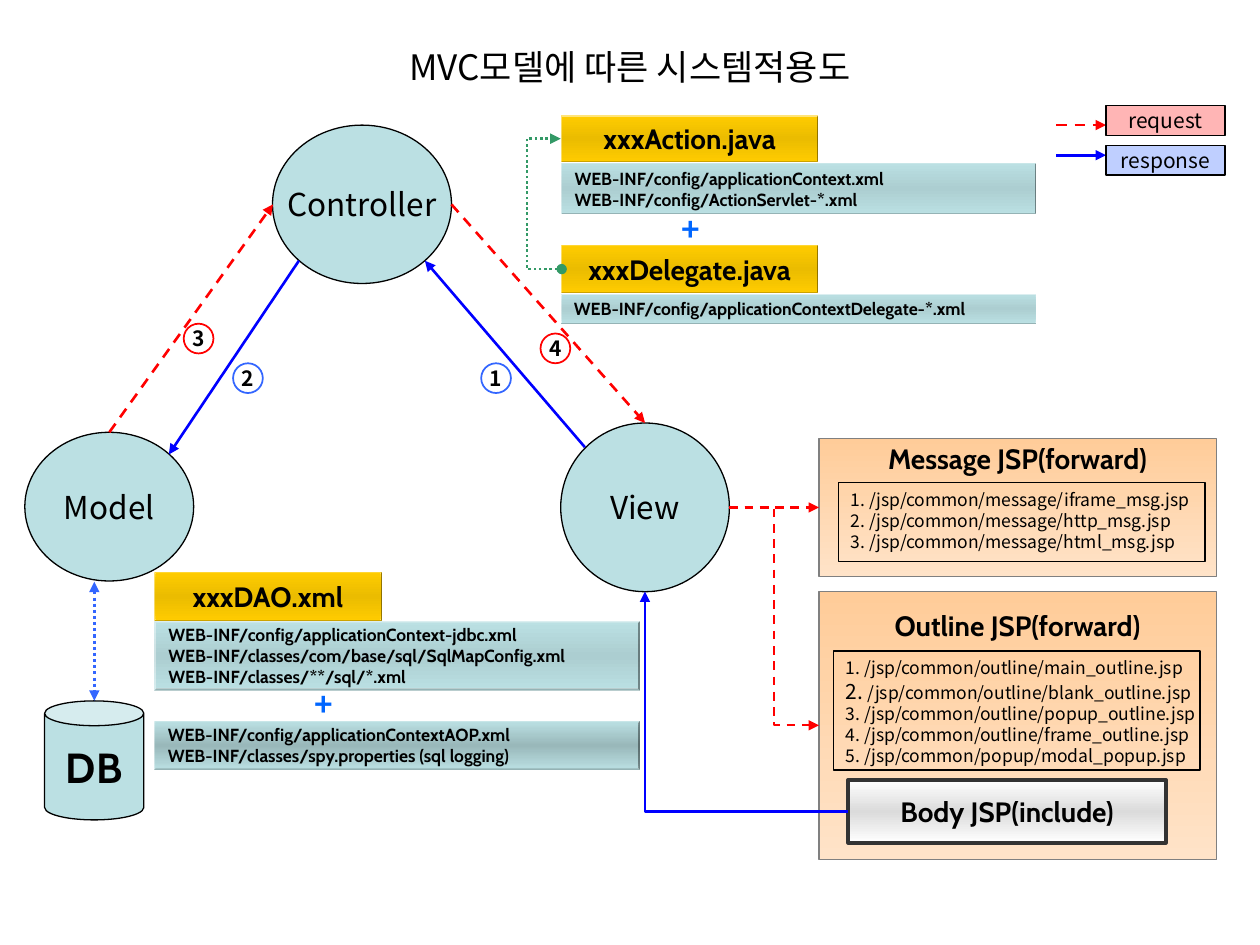
from dataclasses import dataclass
from typing import Optional, Union

from lxml import etree
from pptx import Presentation
from pptx.dml.color import RGBColor
from pptx.enum.dml import MSO_LINE
from pptx.enum.shapes import MSO_CONNECTOR, MSO_SHAPE
from pptx.enum.text import MSO_ANCHOR, PP_ALIGN
from pptx.oxml.ns import qn
from pptx.util import Pt

RECT, OVAL, BEVEL, CAN = (MSO_SHAPE.RECTANGLE, MSO_SHAPE.OVAL,
                          MSO_SHAPE.BEVEL, MSO_SHAPE.CAN)
STRAIGHT, ELBOW = MSO_CONNECTOR.STRAIGHT, MSO_CONNECTOR.ELBOW
DASH, DOT = MSO_LINE.DASH, MSO_LINE.ROUND_DOT
LEFT, CENTER = PP_ALIGN.LEFT, PP_ALIGN.CENTER
TOP, MIDDLE = MSO_ANCHOR.TOP, MSO_ANCHOR.MIDDLE
LEFT_SIDE = 1

NOTO, CABIN = "Noto Sans CJK KR", "Cabin"
COLORS = {
    "black": "000000", "teal": "BBE0E3", "teal_mid": "ACCED1",
    "teal_dark": "99B8BA", "gold": "FFCC00", "gold_mid": "EBBC00",
    "peach": "FFCC99", "peach_light": "FFE3C8", "white": "FFFFFF",
    "silver": "DBDBDB", "gray": "808080", "charcoal": "333333",
    "red": "FF0000", "blue": "0000FF", "sky": "3366FF", "plus": "0066FF",
    "green": "339966",
}
GOLD = ("gold", "gold_mid", "gold")
TEAL = ("teal", "teal_mid", "teal")
TEAL_DARK = ("teal", "teal_dark", "teal")
PEACH = ("peach", "peach_light")
SILVER = ("white", "silver", "white")

Line = Union[str, list[tuple[str, float]]]


@dataclass
class Box:
    x: float
    y: float
    w: float
    h: float
    kind: int = RECT
    fill: Union[None, str, tuple[str, ...]] = None
    alpha: Optional[int] = None
    line: Optional[str] = "black"
    weight: float = 0.75


@dataclass
class Arrow:
    x1: float
    y1: float
    x2: float
    y2: float
    color: str
    weight: float = 1.5
    dash: Optional[int] = None
    head: Optional[str] = None
    elbow_x: Optional[float] = None  # x of the vertical run


def rgb(name: str) -> RGBColor:
    return RGBColor.from_string(COLORS[name])


def write(s, *lines: Line, size: float = 12, font: str = NOTO, bold: bool = False,
          color: str = "black", align=CENTER, anchor=MIDDLE, top: float = 3.6,
          exact: bool = False) -> None:
    """Fill a shape with one paragraph per line; exact fixes the pitch at 1.2."""
    tf = s.text_frame
    tf.word_wrap = False
    tf.vertical_anchor = anchor
    tf.margin_top = Pt(top)
    for i, line in enumerate(lines):
        p = tf.add_paragraph() if i else tf.paragraphs[0]
        p.alignment = align
        runs = [(line, size)] if isinstance(line, str) else line
        if exact:
            p.line_spacing = Pt(1.2 * max(points for _, points in runs))
        for text, points in runs:
            r = p.add_run()
            r.text = text
            r.font.size, r.font.bold = Pt(points), bold
            r.font.color.rgb = rgb(color)
            r.font.name = font
            etree.SubElement(r.font._element, qn("a:ea"), typeface=font)


def paint_gradient(s, names: tuple[str, ...]) -> None:
    """Apply evenly spaced stops from top to bottom."""
    s.fill.gradient()
    s.fill.gradient_angle = 270
    stops = s._element.spPr.find(".//" + qn("a:gsLst"))
    stops.clear()
    for i, name in enumerate(names):
        gs = etree.SubElement(stops, qn("a:gs"),
                              pos=str(100000 * i // (len(names) - 1)))
        etree.SubElement(gs, qn("a:srgbClr"), val=COLORS[name])


def draw_box(slide, b: Box):
    s = slide.shapes.add_shape(b.kind, Pt(b.x), Pt(b.y), Pt(b.w), Pt(b.h))
    s.shadow.inherit = False
    if b.kind == BEVEL:
        s.adjustments[0] = 0.03
    if b.fill is None:
        s.fill.background()
    elif isinstance(b.fill, tuple):
        paint_gradient(s, b.fill)
    else:
        s.fill.solid()
        s.fill.fore_color.rgb = rgb(b.fill)
        if b.alpha is not None:
            clr = s._element.spPr.find(".//" + qn("a:srgbClr"))
            etree.SubElement(clr, qn("a:alpha"), val=str(b.alpha * 1000))
    if b.line:
        s.line.color.rgb = rgb(b.line)
        s.line.width = Pt(b.weight)
    else:
        s.line.fill.background()
    return s


def draw_arrow(slide, a: Arrow, start=None, end=None) -> None:
    """Draw an arrow; start and end are boxes to join at their left side."""
    kind = STRAIGHT if a.elbow_x is None else ELBOW
    s = slide.shapes.add_connector(kind, Pt(a.x1), Pt(a.y1), Pt(a.x2), Pt(a.y2))
    if start is not None:
        s.begin_connect(start, LEFT_SIDE)
    if end is not None:
        s.end_connect(end, LEFT_SIDE)
    s.line.color.rgb = rgb(a.color)
    s.line.width = Pt(a.weight)
    if a.dash:
        s.line.dash_style = a.dash
    spPr = s._element.spPr
    ln = spPr.find(qn("a:ln"))
    if a.head:
        etree.SubElement(ln, qn("a:headEnd"), type=a.head)
    etree.SubElement(ln, qn("a:tailEnd"), type="triangle")
    etree.SubElement(spPr, qn("a:effectLst"))
    geom = spPr.find(qn("a:prstGeom"))
    if a.elbow_x == a.x2:
        geom.set("prst", "bentConnector2")
    elif a.elbow_x is not None:
        share = round(100000 * (a.elbow_x - a.x1) / (a.x2 - a.x1))
        guides = geom.find(qn("a:avLst"))
        etree.SubElement(guides, qn("a:gd"), name="adj1", fmla=f"val {share}")


def add_text(slide, x: float, y: float, w: float, h: float, text: str, **style) -> None:
    write(slide.shapes.add_textbox(Pt(x), Pt(y), Pt(w), Pt(h)), text, **style)


def main() -> None:
    prs = Presentation()
    prs.slide_width, prs.slide_height = Pt(720), Pt(540)
    slide = prs.slides.add_slide(prs.slide_layouts[6])
    add_text(slide, 36, 21.6, 648, 33, "MVC모델에 따른 시스템적용도", size=20)

    for name, x, y, w, h in (("Controller", 155.7, 71.5, 102.3, 90.5),
                             ("Model", 14.2, 247, 96.5, 85),
                             ("View", 320.4, 241.7, 96.4, 96.4)):
        write(draw_box(slide, Box(x, y, w, h, OVAL, "teal")), name, size=18)

    for a in (Arrow(334.2, 255.5, 242.8, 149, "blue"),
              Arrow(62.5, 247, 156, 116.8, "red", dash=DASH),
              Arrow(170.8, 149, 96.5, 259.7, "blue"),
              Arrow(258, 116.8, 368.6, 241.7, "red", dash=DASH),
              Arrow(603.5, 88.7, 632, 88.7, "blue"),
              Arrow(603.5, 71.5, 632, 71.5, "red", dash=DASH)):
        draw_arrow(slide, a)

    outline = draw_box(slide, Box(468, 338, 227, 153, fill=PEACH, line="gray"))
    message = draw_box(slide, Box(468, 250.5, 227, 79, fill=PEACH, line="gray"))
    body = draw_box(slide, Box(484.7, 445.7, 181.6, 36, fill=SILVER,
                               line="charcoal", weight=2))
    heading = dict(size=16, font=CABIN, bold=True)
    write(outline, "Outline JSP(forward)", anchor=TOP, top=10, **heading)
    write(message, "Message JSP(forward)", anchor=TOP, top=2, **heading)
    write(body, "Body JSP(include)", **heading)

    listing = dict(size=10, align=LEFT, anchor=TOP, exact=True)
    write(draw_box(slide, Box(476.2, 372, 209.6, 68)),
          "1. /jsp/common/outline/main_outline.jsp",
          [("2. ", 12), ("/jsp/common/outline/blank_outline.jsp", 10)],
          "3. /jsp/common/outline/popup_outline.jsp",
          "4. /jsp/common/outline/frame_outline.jsp",
          "5. /jsp/common/popup/modal_popup.jsp", **listing)
    write(draw_box(slide, Box(479, 275.7, 209.6, 45.2)),
          "1. /jsp/common/message/iframe_msg.jsp",
          "2. /jsp/common/message/http_msg.jsp",
          "3. /jsp/common/message/html_msg.jsp", **listing)

    for name, y, fill, alpha in (("response", 83, "sky", 31), ("request", 60.3, "red", 29)):
        write(draw_box(slide, Box(632, y, 68, 17, fill=fill, alpha=alpha)), name)

    for name, x, y, w, h in (("xxxAction.java", 320.4, 65.9, 147.4, 26.8),
                             ("xxxDelegate.java", 320.4, 139.8, 147.4, 27.8),
                             ("xxxDAO.xml", 88, 326.8, 130.4, 28.2)):
        write(draw_box(slide, Box(x, y, w, h, BEVEL, GOLD, line=None)), name, **heading)

    for x, y, w, h, fill, files in (
        (320.4, 93, 272, 29.6, TEAL, ("WEB-INF/config/applicationContext.xml",
                                      "WEB-INF/config/ActionServlet-*.xml")),
        (320.4, 167.8, 272, 17.2, TEAL, ("WEB-INF/config/applicationContextDelegate-*.xml",)),
        (88, 355, 277.7, 39.6, TEAL, ("WEB-INF/config/applicationContext-jdbc.xml",
                                      "WEB-INF/classes/com/base/sql/SqlMapConfig.xml",
                                      "WEB-INF/classes/**/sql/*.xml")),
        (88, 412, 277.7, 28, TEAL_DARK, ("WEB-INF/config/applicationContextAOP.xml",
                                         "WEB-INF/classes/spy.properties (sql logging)")),
    ):
        write(draw_box(slide, Box(x, y, w, h, BEVEL, fill, line=None)), *files,
              size=10, font=CABIN, bold=True, align=LEFT)

    for number, x, y, color in (("1", 275, 207.6, "sky"), ("2", 133.2, 207.6, "sky"),
                                ("3", 105, 185, "red"), ("4", 308.9, 190.6, "red")):
        write(draw_box(slide, Box(x, y, 17, 17, OVAL, line=color, weight=1)),
              number, bold=True)

    db = draw_box(slide, Box(25.5, 400.5, 56.7, 68, CAN, "teal"))
    write(db, "DB", size=24, font=CABIN, bold=True)
    draw_arrow(slide, Arrow(53.9, 332.4, 53.9, 400.5, "sky", 1.75, DOT, "triangle"))

    draw_arrow(slide, Arrow(416.8, 290, 468, 290, "red", 1.25, DASH, elbow_x=442.4),
               end=message)
    draw_arrow(slide, Arrow(416.8, 290, 468, 414.5, "red", 1.25, DASH, elbow_x=442.4),
               end=outline)
    draw_arrow(slide, Arrow(484.7, 463.7, 368.6, 338, "blue", elbow_x=368.6), start=body)
    draw_arrow(slide, Arrow(321, 153.8, 320.4, 79.3, "green", dash=DOT, head="oval",
                            elbow_x=301))

    for x, y in ((172.8, 393.8), (382.3, 122.6)):
        add_text(slide, x, y, 23, 17, "+", size=18, bold=True, color="plus")

    prs.save("out.pptx")


if __name__ == "__main__":
    main()
